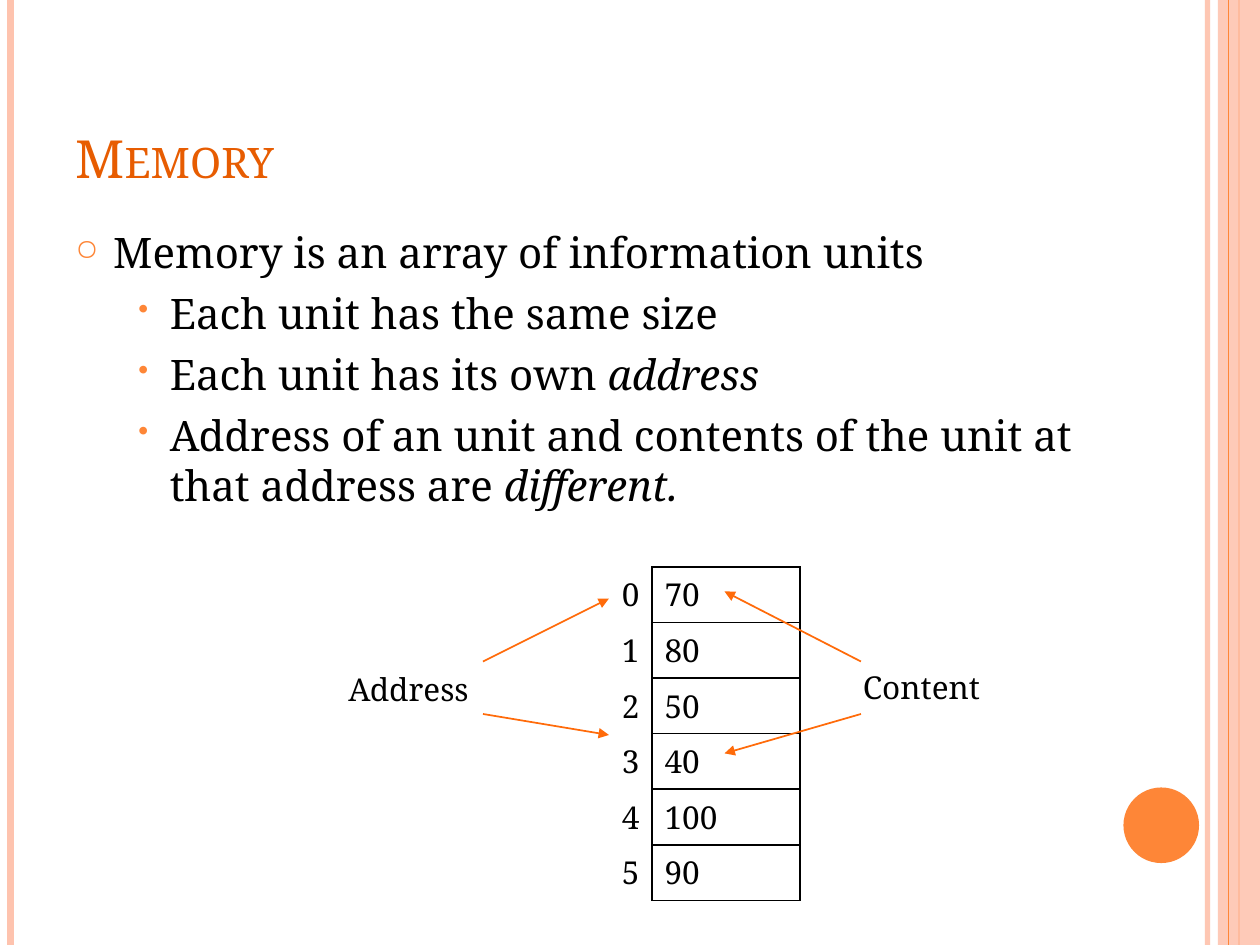
import pptx
import pptx.util
import pptx.oxml
import pptx.oxml.ns
import pptx.dml.color
import pptx.enum.shapes
import pptx.enum.text

Pt = pptx.util.Pt
FONT = "Noto Serif"
HUES = {"pale": "FEC3AE", "orange": "FE8637", "title": "E75C01",
        "arrow": "FF6B0A", "text": "000000"}
ALIGN = pptx.enum.text.PP_ALIGN
SHAPE = pptx.enum.shapes.MSO_SHAPE


def hue(name):
    """Return the named colour."""
    return pptx.dml.color.RGBColor.from_string(HUES[name])


def apply(item, values):
    """Set each format value on an item."""
    for name, value in values.items():
        setattr(item, name, value)


def add_node(parent, tag, **values):
    """Append an XML element with its attributes."""
    node = pptx.oxml.parse_xml(f"<a:{tag} {pptx.oxml.ns.nsdecls('a')}/>")
    for name, value in values.items():
        node.set(name, str(value))
    parent.append(node)
    return node


def fade(part, amount):
    """Make the solid colours below a part translucent."""
    for color in part.iter(pptx.oxml.ns.qn("a:srgbClr")):
        add_node(color, "alpha", val=amount * 1000)


def add_line(slide, start, end, color, width, alpha=100, arrow=False):
    """Draw a straight line, with or without an arrowhead."""
    line = slide.shapes.add_connector(
        pptx.enum.shapes.MSO_CONNECTOR.STRAIGHT, *map(Pt, start + end))
    line.line.width = Pt(width)
    line.line.color.rgb = hue(color)
    props = line._element.spPr
    if alpha < 100:
        fade(props, alpha)
    if arrow:
        add_node(line.line._get_or_add_ln(), "tailEnd", type="triangle")
    add_node(props, "effectLst")


def add_block(slide, kind, box, color, alpha=100):
    """Draw a filled shape with no outline."""
    block = slide.shapes.add_shape(kind, *map(Pt, box))
    block.shadow.inherit = False
    block.fill.solid()
    block.fill.fore_color.rgb = hue(color)
    block.line.fill.background()
    if alpha < 100:
        fade(block._element.spPr, alpha)


def add_run(para, text, size, color="text", italic=None):
    """Add one run of text."""
    run = para.add_run()
    run.text = text
    apply(run.font, {"name": FONT, "size": Pt(size), "italic": italic})
    run.font.color.rgb = hue(color)
    return run


def add_box(slide, box, **values):
    """Add a wrapping text box and return its frame."""
    frame = slide.shapes.add_textbox(*map(Pt, box)).text_frame
    apply(frame, {"word_wrap": True, **values})
    return frame


def add_title(slide, text):
    """Add the title in small caps."""
    frame = add_box(slide, (36, 21.6, 588, 90),
                    vertical_anchor=pptx.enum.text.MSO_ANCHOR.BOTTOM)
    run = add_run(frame.paragraphs[0], text, 30, "title")
    run._r.get_or_add_rPr().set("cap", "small")


def add_list(slide, items):
    """Add the bullet list from level, plain text and italic text."""
    marks = [(21.6, 21.6, "\u25cb"), (54, 18, "\u2022")]
    frame = add_box(slide, (36, 126, 588, 384))
    for row, (level, plain, slant) in enumerate(items):
        para = frame.add_paragraph() if row else frame.paragraphs[0]
        apply(para, {"level": level, "space_before": Pt(6)})
        left, hang, mark = marks[level]
        props = para._p.get_or_add_pPr()
        props.set("marL", str(Pt(left)))
        props.set("indent", str(-Pt(hang)))
        add_node(add_node(props, "buClr"), "srgbClr", val=HUES["orange"])
        add_node(props, "buSzPct", val=70000)
        add_node(props, "buChar", char=mark)
        add_run(para, plain, 24)
        if slant:
            add_run(para, slant, 24, italic=True)


def add_edge(cell, sides):
    """Give a cell black borders on the given sides."""
    props = cell._tc.get_or_add_tcPr()
    for side in sides:
        edge = add_node(props, f"ln{side}", w=Pt(1))
        add_node(add_node(edge, "solidFill"), "srgbClr", val=HUES["text"])


def add_cells(slide, values):
    """Add the table of addresses and contents."""
    high = 31.75
    table = slide.shapes.add_table(
        len(values), 2, Pt(288), Pt(324), Pt(169.2), Pt(high * len(values))).table
    apply(table, {"first_row": False, "horz_banding": False})
    for row, value in enumerate(values):
        table.rows[row].height = Pt(high)
        looks = [(row, ALIGN.RIGHT, "R"), (value, ALIGN.LEFT, "LRTB")]
        for col, (text, align, sides) in enumerate(looks):
            cell = table.cell(row, col)
            add_edge(cell, sides)
            cell.fill.background()
            para = cell.text_frame.paragraphs[0]
            para.alignment = align
            add_run(para, str(text), 18)


def add_frame(slide):
    """Draw the side stripes and the corner disc."""
    def stripe(left, color, width, alpha=100):
        """Draw one full-height stripe."""
        add_line(slide, (left, 0), (left, 540), color, width, alpha)

    stripe(690, "pale", 3, 93)
    stripe(6, "pale", 4.5)
    stripe(708, "orange", 1.5)
    add_block(slide, SHAPE.RECTANGLE, (696, 0, 24, 540), "pale", 87)
    stripe(702, "orange", 0.75)
    add_block(slide, SHAPE.OVAL, (642, 450, 43.2, 43.2), "orange")


def main():
    """Build and save the slide."""
    deck = pptx.Presentation()
    apply(deck, {"slide_width": Pt(720), "slide_height": Pt(540)})
    slide = deck.slides.add_slide(deck.slide_layouts[6])
    add_frame(slide)
    add_title(slide, "Memory")
    add_list(slide, [
        (0, "Memory is an array of information units", ""),
        (1, "Each unit has the same size", ""),
        (1, "Each unit has its own ", "address"),
        (1, "Address of an unit and contents of the unit at that address are ",
         "different."),
    ])
    add_cells(slide, [70, 80, 50, 40, 100, 90])
    for text, left, top in [("Address", 192, 379.2), ("Content", 486, 378)]:
        frame = add_box(slide, (left, top, 84, 29))
        add_run(frame.paragraphs[0], text, 18)
    for start, end in [((276, 378), (348, 342)), ((276, 408), (348, 420)),
                       ((492, 378), (414, 338)), ((492, 408), (414, 430.5))]:
        add_line(slide, start, end, "arrow", 1, arrow=True)
    deck.save("out.pptx")


main()
